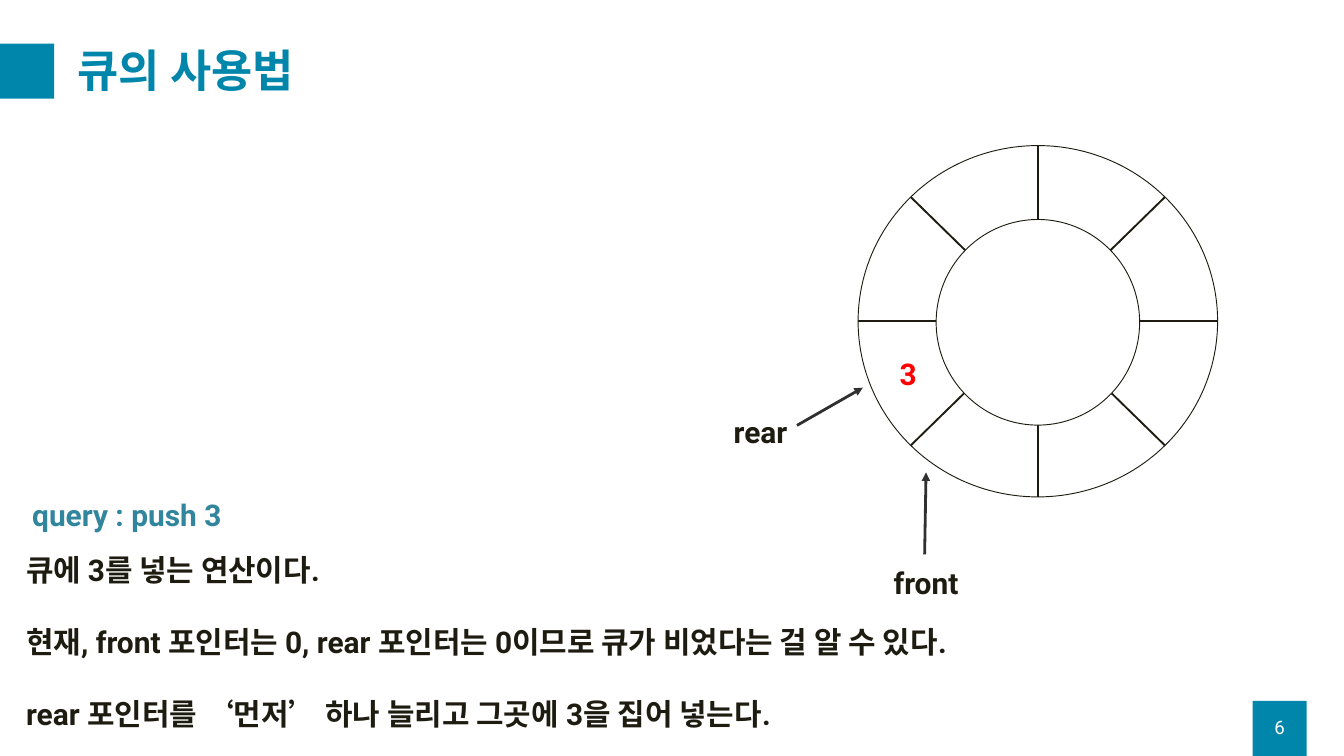
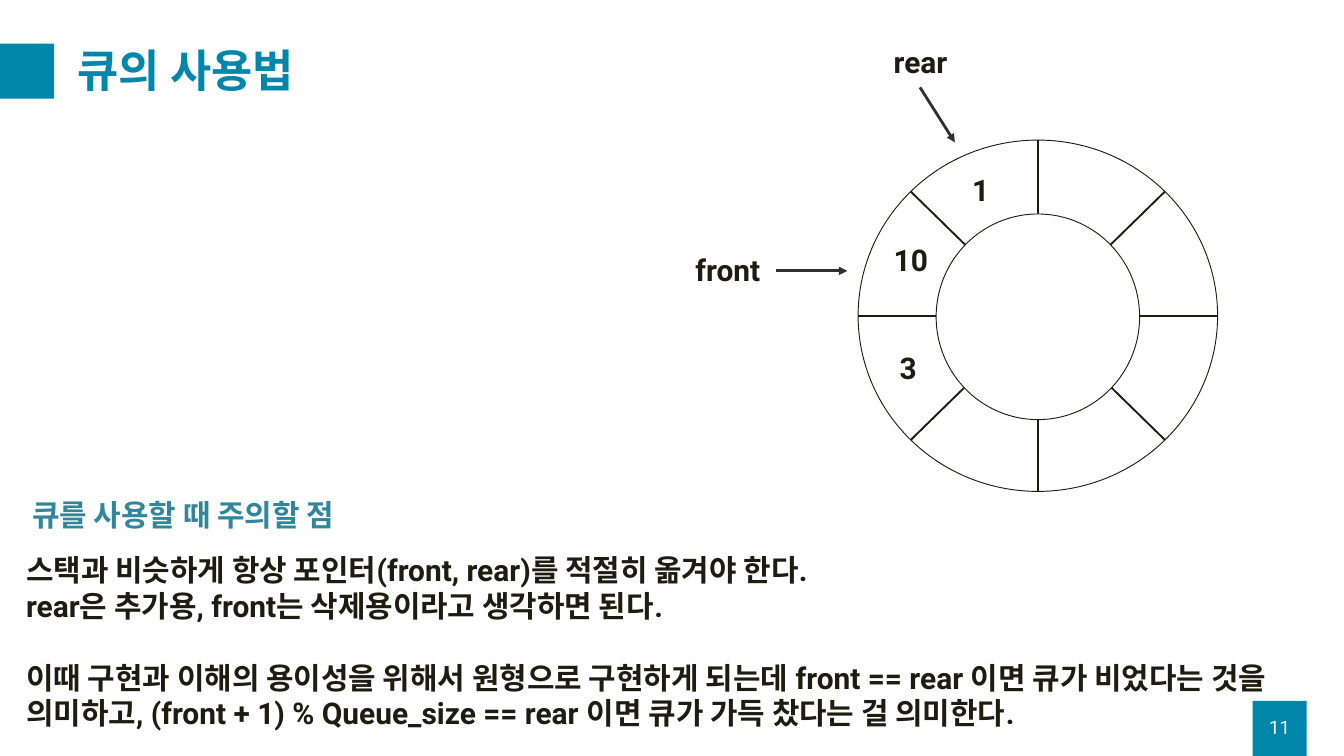
import math

from lxml import etree
from pptx import Presentation
from pptx import util as u
from pptx.dml.color import RGBColor
from pptx.enum import shapes, text
from pptx.oxml.ns import qn

TEAL, SUBTEAL, INK = "0086AB", "31859C", "1E1C11"
ARROW, RED, WHITE = "303030", "FF0000", "FFFFFF"
FONT = "Roboto"
BODY_SIZE = 32
BLANK_LINE = 38.5
LABEL_WIDTH, LABEL_HEIGHT = 98, 46


def color(value):
    return RGBColor.from_string(value)


class QueueDeck:
    def __init__(self):
        self.presentation = Presentation()
        self.presentation.slide_width = u.Pt(1440)
        self.presentation.slide_height = u.Pt(810)
        self.slide = None

    def add_slide(self, title, number):
        self.slide = self.presentation.slides.add_slide(self.presentation.slide_layouts[6])
        self.square(1342, 751)
        self.square(0, 46.8)
        middle = {"vertical_anchor": text.MSO_ANCHOR.MIDDLE}
        self.text([[title]], 76.3, 36, 1314, 85, TEAL, 48, frame_format=middle,
                  paragraph_format={"line_spacing": 0.9})
        self.text([[number]], 1342, 757.4, 58, 43.2, WHITE, 20, bold=False, frame_format=middle,
                  paragraph_format={"alignment": text.PP_ALIGN.CENTER})

    def shape(self, parent, kind, left, top, width, height, fill=None, line=None):
        shape = parent.add_shape(kind, *map(u.Pt, (left, top, width, height)))
        shape.shadow.inherit = False
        if fill:
            shape.fill.solid()
            shape.fill.fore_color.rgb = color(fill)
        else:
            shape.fill.background()
        if line:
            shape.line.color.rgb = color(line)
            shape.line.width = u.Pt(1)
        else:
            shape.line.fill.background()

    def square(self, left, top):
        self.shape(self.slide.shapes, shapes.MSO_SHAPE.RECTANGLE, left, top, 58, 59, TEAL)

    def line(self, parent, start, end, line_color, width):
        line = parent.add_connector(shapes.MSO_CONNECTOR.STRAIGHT, *map(u.Pt, (*start, *end)))
        line.line.color.rgb = color(line_color)
        line.line.width = u.Pt(width)
        etree.SubElement(line._element.spPr, qn("a:effectLst"))
        return line

    def arrow(self, tail, tip):
        arrow = self.line(self.slide.shapes, tail, tip, ARROW, 3)
        etree.SubElement(arrow.line._get_or_add_ln(), qn("a:tailEnd"), type="triangle")

    def text(self, blocks, left, top, width, height, text_color=INK, size=BODY_SIZE, bold=True,
             frame_format=None, paragraph_format=None):
        """Write blocks of lines, with the height of one line between blocks."""
        box = self.slide.shapes.add_textbox(*map(u.Pt, (left, top, width, height)))
        frame = box.text_frame
        for name, value in {"word_wrap": True, **(frame_format or {})}.items():
            setattr(frame, name, value)
        paragraph = None
        for block in blocks:
            for index, line in enumerate(block):
                gap = paragraph is not None and index == 0
                paragraph = frame.add_paragraph() if paragraph is not None else frame.paragraphs[0]
                if gap:
                    paragraph.space_before = u.Pt(BLANK_LINE)
                for name, value in (paragraph_format or {}).items():
                    setattr(paragraph, name, value)
                run = paragraph.add_run()
                run.text = line
                for name, value in {"name": FONT, "size": u.Pt(size), "bold": bold}.items():
                    setattr(run.font, name, value)
                run.font.color.rgb = color(text_color)

    def label(self, words, left, top, text_color=INK):
        self.text([[words]], left, top, LABEL_WIDTH, LABEL_HEIGHT, text_color)

    def explanation(self, heading, blocks):
        self.text([[heading]], 27.4, 528.5, 418, LABEL_HEIGHT, SUBTEAL)
        self.text(blocks, 20.9, 587.5, 1379.5, 201)

    def ring(self, center_y):
        """Draw the circular queue with its eight cells."""
        center_x, radius_x, radius_y = 1112, 192.6, 188.2
        ring = self.slide.shapes.add_group_shape().shapes
        for step in range(4):
            angle = step * math.pi / 4
            x, y = radius_x * math.cos(angle), radius_y * math.sin(angle)
            self.line(ring, (center_x + x, center_y - y), (center_x - x, center_y + y), INK, 2)
        oval = shapes.MSO_SHAPE.OVAL
        self.shape(ring, oval, center_x - radius_x, center_y - radius_y,
                   2 * radius_x, 2 * radius_y, line=INK)
        self.shape(ring, oval, center_x - 109, center_y - 109, 218, 220.3, WHITE, INK)


def main():
    deck = QueueDeck()

    deck.add_slide("큐의 사용법", "6")
    deck.explanation("query : push 3", [
        ["큐에 3를 넣는 연산이다."],
        ["현재, front 포인터는 0, rear 포인터는 0이므로 큐가 비었다는 걸 알 수 있다."],
        ["rear 포인터를 ‘먼저’ 하나 늘리고 그곳에 3을 집어 넣는다."],
    ])
    deck.ring(344.2)
    deck.arrow((990.7, 594), (992.2, 506.2))
    deck.arrow((853.9, 455.8), (924.5, 415.4))
    deck.label("front", 950.4, 601.2)
    deck.label("rear", 779, 439.2)
    deck.label("3", 956.9, 377.3, RED)

    deck.add_slide("큐의 사용법", "11")
    deck.explanation("큐를 사용할 때 주의할 점", [
        ["스택과 비슷하게 항상 포인터(front, rear)를 적절히 옮겨야 한다.",
         "rear은 추가용, front는 삭제용이라고 생각하면 된다."],
        ["이때 구현과 이해의 용이성을 위해서 원형으로 구현하게 되는데 front == rear 이면 "
         "큐가 비었다는 것을 의미하고, (front + 1) % Queue_size == rear 이면 "
         "큐가 가득 찼다는 걸 의미한다."],
    ])
    deck.ring(338.3)
    deck.arrow((985.7, 93.6), (1023.1, 152.6))
    deck.arrow((831.6, 290.2), (907.9, 290.2))
    deck.label("rear", 950.4, 43.2)
    deck.label("front", 738, 266.4)
    deck.label("3", 956.9, 370.8)
    deck.label("10", 950.4, 254.9)
    deck.label("1", 1034.6, 180)

    deck.presentation.save("out.pptx")


if __name__ == "__main__":
    main()
